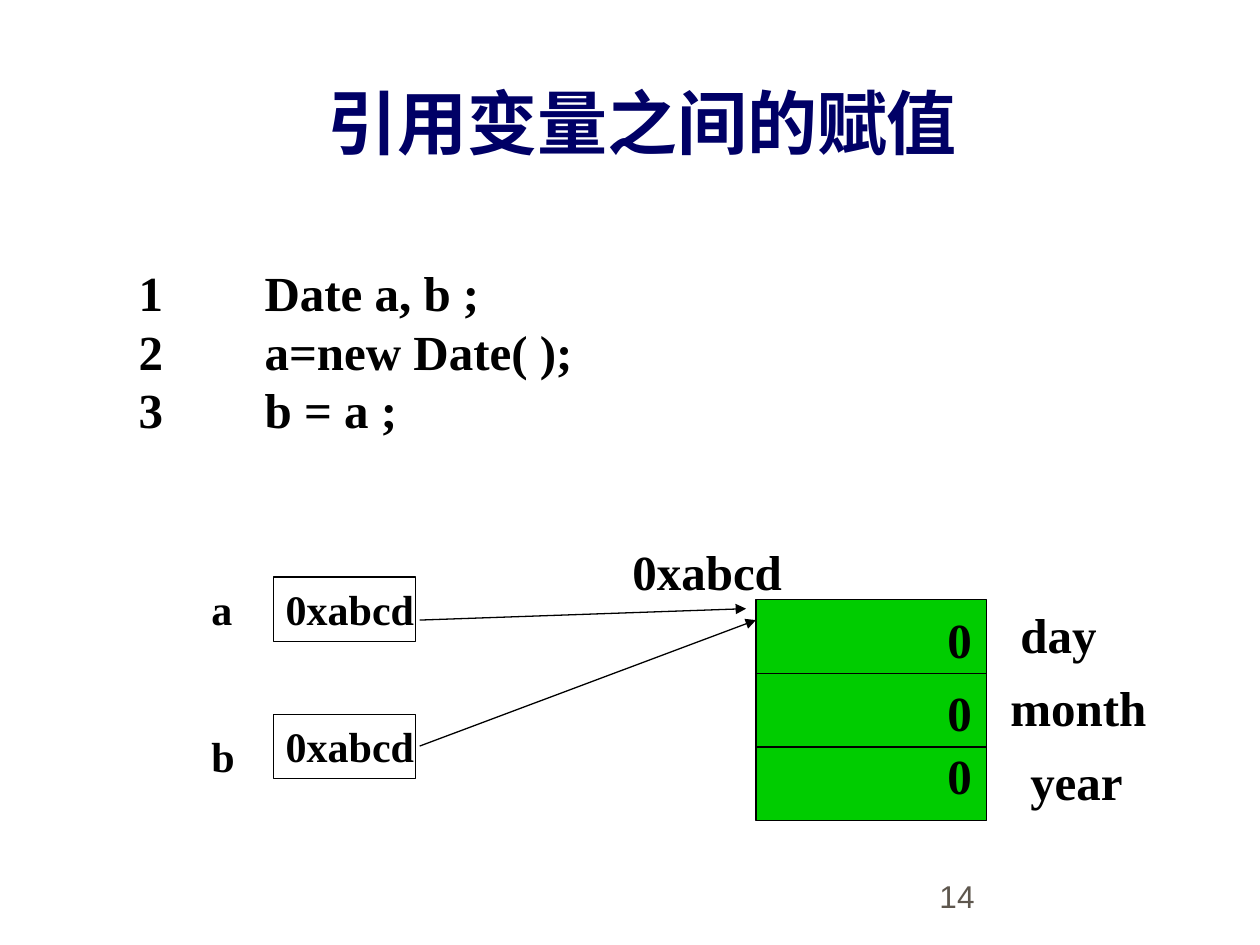
from dataclasses import dataclass

from lxml.etree import SubElement
from pptx import Presentation
from pptx.dml.color import RGBColor
from pptx.enum.shapes import MSO_CONNECTOR, MSO_SHAPE
from pptx.enum.text import MSO_ANCHOR as Anchor, MSO_AUTO_SIZE as AutoSize, PP_ALIGN as Align
from pptx.oxml.ns import qn
from pptx.util import Cm, Pt


@dataclass(frozen=True)
class Theme:
    serif: str = "Times New Roman"
    sans: str = "Arial"
    ink: RGBColor = RGBColor(0, 0, 0)
    heading: RGBColor = RGBColor(0x00, 0x00, 0x66)
    memory: RGBColor = RGBColor(0x00, 0xCC, 0x00)
    muted: RGBColor = RGBColor(0x5E, 0x57, 0x4E)
    title_size: Pt = Pt(40)
    text_size: Pt = Pt(28)
    small_size: Pt = Pt(24)
    number_size: Pt = Pt(18)
    stroke: Pt = Pt(0.75)


THEME = Theme()


def style(paragraph, size, color=THEME.ink, face=THEME.serif, bold=True):
    paragraph.alignment = Align.LEFT
    font = paragraph.font
    font.name, font.size, font.bold = face, size, bold
    font.color.rgb = color


def place(shape, left, top, width, height):
    shape.left, shape.top = Cm(left), Cm(top)
    shape.width, shape.height = Cm(width), Cm(height)
    frame = shape.text_frame
    frame.auto_size = AutoSize.NONE
    frame.vertical_anchor = Anchor.TOP
    return frame


def fill_title(slide, text):
    frame = place(slide.shapes.title, 6.35, 1.47, 15.16, 1.96)
    frame.text = text
    style(frame.paragraphs[0], THEME.title_size, THEME.heading)


def fill_code(slide, lines):
    """Number the code lines, with the code at a hanging indent."""
    frame = place(slide.placeholders[1], 2.54, 5.16, 9.4, 3.81)
    frame.word_wrap = False
    frame.text = "\n".join(f"{number}\t{line}" for number, line in enumerate(lines, 1))
    hang = Cm(2.54)
    for paragraph in frame.paragraphs:
        paragraph.space_before = Pt(0)
        properties = paragraph._p.get_or_add_pPr()
        properties.set("marL", str(hang))
        properties.set("indent", str(-hang))
        SubElement(properties, qn("a:buNone"))
        style(paragraph, THEME.text_size)


def add_label(slide, text, left, top, width, size=THEME.text_size):
    height = 1.45 if size == THEME.text_size else 1.27
    label = slide.shapes.add_textbox(Cm(left), Cm(top), Cm(width), Cm(height))
    label.text_frame.word_wrap = False
    label.text_frame.auto_size = AutoSize.SHAPE_TO_FIT_TEXT
    label.text_frame.text = text
    style(label.text_frame.paragraphs[0], size)


def add_box(slide, left, top, width, height, color=None):
    box = slide.shapes.add_shape(MSO_SHAPE.RECTANGLE, Cm(left), Cm(top), Cm(width), Cm(height))
    box.shadow.inherit = False
    if color is None:
        box.fill.background()
    else:
        box.fill.solid()
        box.fill.fore_color.rgb = color
    box.line.color.rgb = THEME.ink
    box.line.width = THEME.stroke


def add_line(slide, start, end, arrow=False):
    line = slide.shapes.add_connector(MSO_CONNECTOR.STRAIGHT, *map(Cm, start + end))
    line.line.color.rgb = THEME.ink
    line.line.width = THEME.stroke
    if arrow:
        SubElement(line.line._get_or_add_ln(), qn("a:tailEnd"), type="triangle")
    SubElement(line._element.spPr, qn("a:effectLst"))


def add_reference(slide, name, name_top, box_top, address, arrow_start, arrow_end):
    """A variable's name, its box with the address, and the arrow to the object."""
    add_label(slide, name, 4.01, name_top, 0.97, THEME.small_size)
    add_box(slide, 5.51, box_top, 2.87, 1.3)
    add_label(slide, address, 5.51, box_top, 3.1, THEME.small_size)
    add_line(slide, arrow_start, arrow_end, arrow=True)


def add_object(slide, address, fields):
    left, top, width, height = 15.24, 12.09, 4.65, 4.45
    row = height / len(fields)
    add_box(slide, left, top, width, height, THEME.memory)
    for index in range(1, len(fields)):
        y = top + index * row
        add_line(slide, (left, y), (left + width, y))
    for name, name_left, name_top, name_width, value_top in fields:
        add_label(slide, name, name_left, name_top, name_width)
        add_label(slide, "0", 18.85, value_top, 1.02)
    add_label(slide, address, 12.5, 10.8, 3.53)


def add_page_number(slide, number):
    box = slide.shapes.add_textbox(0, 0, 0, 0)
    frame = place(box, 18.69, 17.3, 5.28, 1.27)
    frame.word_wrap = True
    frame.vertical_anchor = Anchor.BOTTOM
    frame.text = number
    style(frame.paragraphs[0], THEME.number_size, THEME.muted, THEME.sans, bold=False)


def main():
    deck = Presentation()
    deck.slide_width, deck.slide_height = Cm(25.4), Cm(19.05)
    slide = deck.slides.add_slide(deck.slide_layouts[1])
    address = "0xabcd"

    fill_title(slide, "引用变量之间的赋值")
    fill_code(slide, ["Date a, b ;", "a=new Date( );", "b = a ;"])
    add_object(slide, address, [
        ("day", 20.32, 12.07, 2.06, 12.17),
        ("month", 20.12, 13.54, 3.25, 13.64),
        ("year", 20.52, 15.02, 2.4, 14.91),
    ])
    add_reference(slide, "a", 11.63, 11.63, address, (8.46, 12.5), (15.04, 12.27))
    add_reference(slide, "b", 14.6, 14.4, address, (8.46, 15.04), (15.24, 12.5))
    add_page_number(slide, "14")
    deck.save("out.pptx")


if __name__ == "__main__":
    main()
